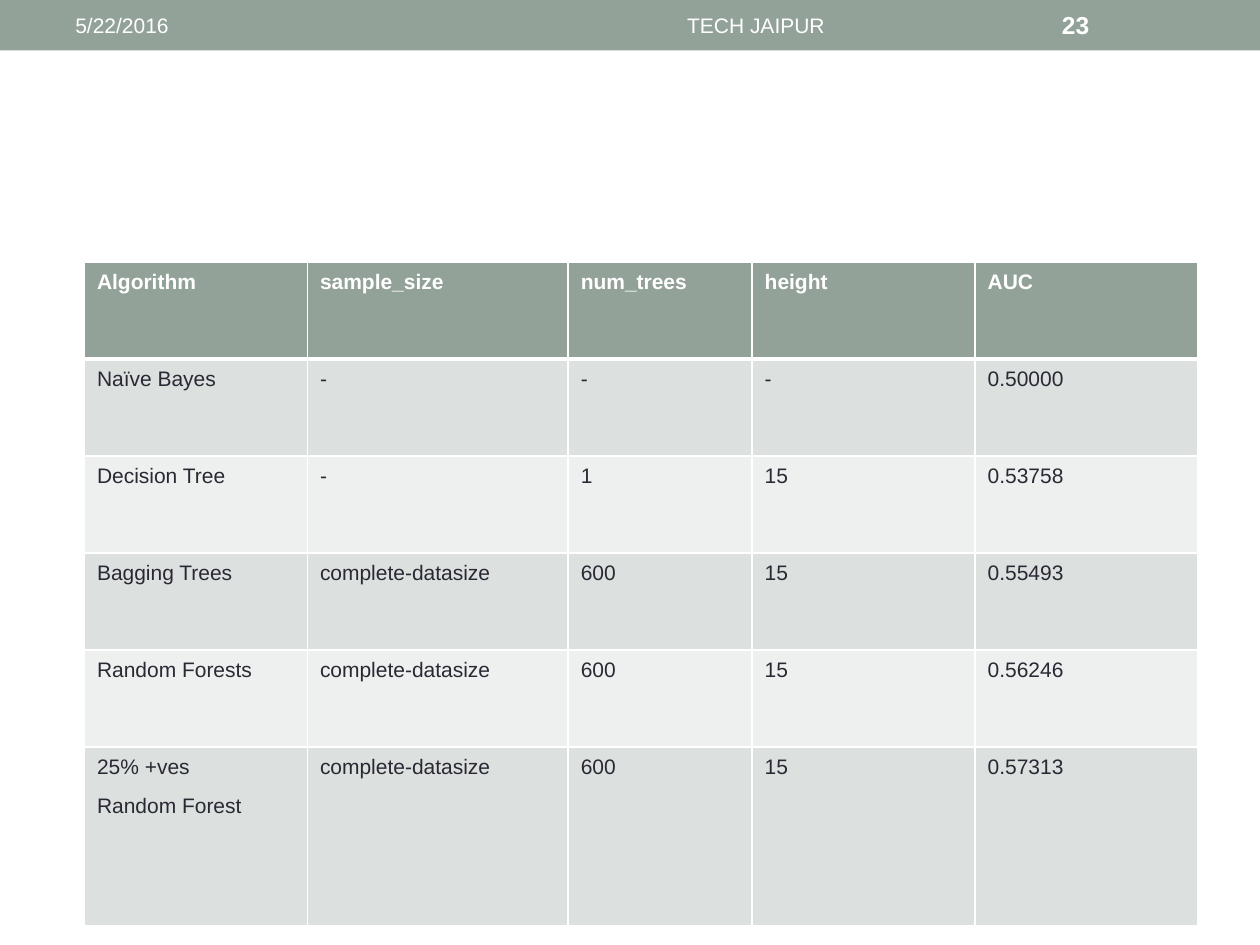
from lxml import etree
from pptx import Presentation
from pptx.dml.color import RGBColor
from pptx.enum.shapes import MSO_SHAPE
from pptx.enum.text import MSO_ANCHOR, PP_ALIGN
from pptx.oxml.ns import qn
from pptx.util import Inches, Pt

RECTANGLE = MSO_SHAPE.RECTANGLE
MIDDLE = MSO_ANCHOR.MIDDLE
LEFT, CENTER = PP_ALIGN.LEFT, PP_ALIGN.CENTER

FONT = "Arial"
SAGE, WHITE, INK = "93A299", "FFFFFF", "292934"
BANDS = ("DCE0DE", "EEF0EF")

SLIDE_WIDTH, SLIDE_HEIGHT = 10, 7.5
BANNER_HEIGHT = 0.4
COLUMN_WIDTHS = (1.77, 2.07, 1.46, 1.77, 1.77)
ROW_HEIGHTS = (0.77,) * 5 + (1.42,)

RESULTS = (
    ("Algorithm", "sample_size", "num_trees", "height", "AUC"),
    ("Naïve Bayes", "-", "-", "-", "0.50000"),
    ("Decision Tree", "-", "1", "15", "0.53758"),
    ("Bagging Trees", "complete-datasize", "600", "15", "0.55493"),
    ("Random Forests", "complete-datasize", "600", "15", "0.56246"),
    ("25% +ves\nRandom Forest", "complete-datasize", "600", "15", "0.57313"),
)


def color(hex_value):
    return RGBColor.from_string(hex_value)


def paint(target, hex_value):
    target.fill.solid()
    target.fill.fore_color.rgb = color(hex_value)


def style_text(frame, size, hex_value, bold=False):
    for paragraph in frame.paragraphs:
        for run in paragraph.runs:
            run.font.name = FONT
            run.font.size = Pt(size)
            run.font.bold = bold
            run.font.color.rgb = color(hex_value)


def add_banner(slide):
    banner = slide.shapes.add_shape(
        RECTANGLE, 0, 0, Inches(SLIDE_WIDTH), Inches(BANNER_HEIGHT))
    banner.shadow.inherit = False
    paint(banner, SAGE)
    banner.line.fill.background()


def add_banner_label(slide, text, left, width, size=12, align=LEFT, bold=False):
    inset = 0.02
    label = slide.shapes.add_textbox(
        Inches(left), Inches(inset),
        Inches(width), Inches(BANNER_HEIGHT - 2 * inset))
    frame = label.text_frame
    frame.word_wrap = True
    frame.vertical_anchor = MIDDLE
    frame.text = text
    frame.paragraphs[0].alignment = align
    style_text(frame, size, WHITE, bold)


def set_borders(cell, top, bottom):
    properties = cell._tc.get_or_add_tcPr()
    for side, points in (("L", 1), ("R", 1), ("T", top), ("B", bottom)):
        border = etree.SubElement(
            properties, qn(f"a:ln{side}"), w=str(Pt(points)))
        fill = etree.SubElement(border, qn("a:solidFill"))
        etree.SubElement(fill, qn("a:srgbClr"), val=WHITE)


def fill_cell(cell, text, row):
    header = row == 0
    set_borders(cell, top=3 if row == 1 else 1, bottom=3 if header else 1)
    paint(cell, SAGE if header else BANDS[(row - 1) % 2])
    frame = cell.text_frame
    frame.text = text
    for paragraph in frame.paragraphs:
        paragraph.line_spacing = 1.07
        paragraph.space_after = Pt(8)
    style_text(frame, 12, WHITE if header else INK, header)


def add_results(slide, left, top):
    results = slide.shapes.add_table(
        len(ROW_HEIGHTS), len(COLUMN_WIDTHS), Inches(left), Inches(top),
        Inches(sum(COLUMN_WIDTHS)), Inches(sum(ROW_HEIGHTS))).table
    for column, width in zip(results.columns, COLUMN_WIDTHS):
        column.width = Inches(width)
    for row, height in zip(results.rows, ROW_HEIGHTS):
        row.height = Inches(height)
    for row, values in enumerate(RESULTS):
        for column, value in enumerate(values):
            fill_cell(results.cell(row, column), value, row)


def main():
    deck = Presentation()
    deck.slide_width = Inches(SLIDE_WIDTH)
    deck.slide_height = Inches(SLIDE_HEIGHT)
    slide = deck.slides.add_slide(deck.slide_layouts[6])
    add_banner(slide)
    add_banner_label(slide, "5/22/2016", 0.5, 3.17)
    add_banner_label(slide, "TECH JAIPUR", 3.75, 4.5, align=CENTER)
    add_banner_label(slide, "23", 8.33, 1.17, size=14, bold=True)
    add_results(slide, 0.67, 2.08)
    deck.save("out.pptx")


if __name__ == "__main__":
    main()
